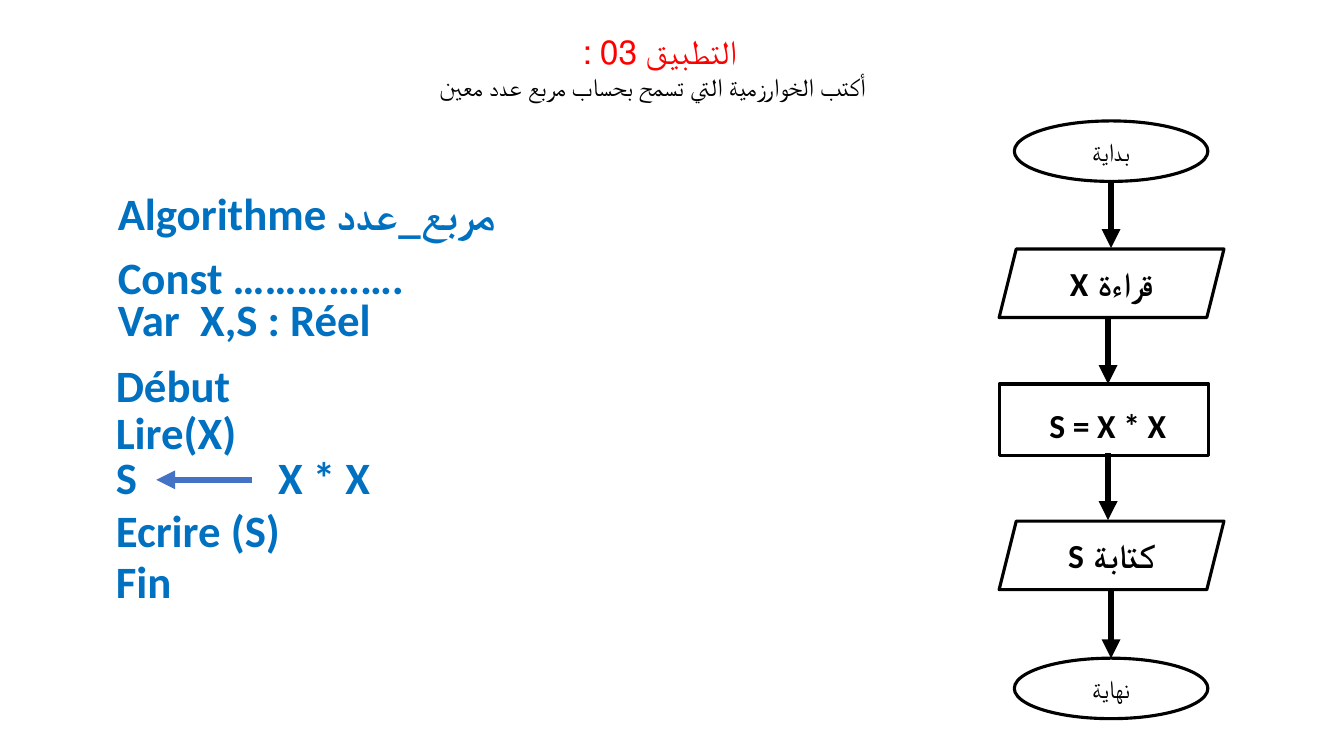
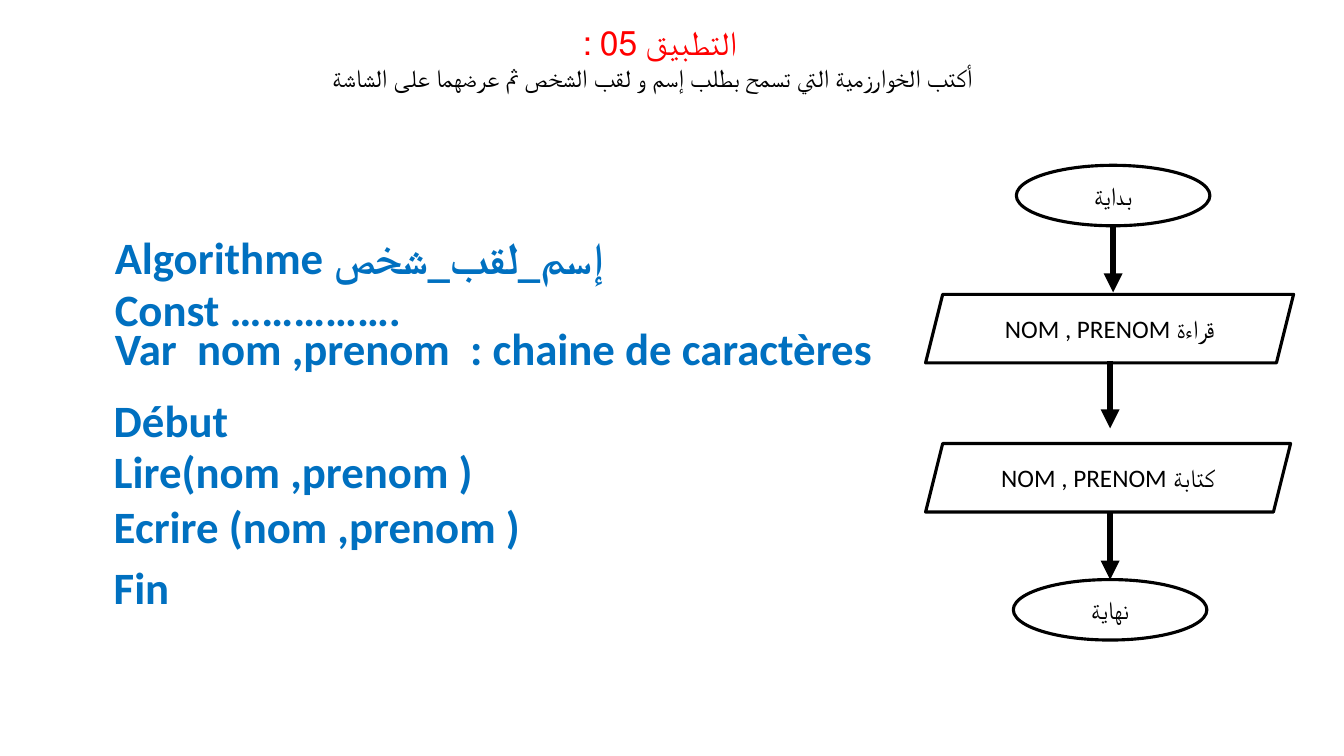
from pptx import Presentation
from pptx.dml.color import RGBColor
from pptx.enum.shapes import MSO_CONNECTOR, MSO_SHAPE
from pptx.enum.text import MSO_ANCHOR, MSO_AUTO_SIZE, PP_ALIGN
from pptx.oxml.ns import qn
from pptx.util import Pt
from lxml.etree import SubElement

PX = 9144  # 100 px to the inch
SLIDE_WIDTH, SLIDE_HEIGHT = 1333, 750
COLORS = {
    "heading": "FF0000",
    "ink": "000000",
    "paper": "FFFFFF",
    "code": "0070C0",
    "assign": "4472C4",
}
OVAL_SIZE = (192, 60)
STEP_HEIGHT = 68
ARROW_LENGTH = 67


def emu(*lengths):
    return [length * PX for length in lengths]


def color(name):
    return RGBColor.from_string(COLORS[name])


def add_run(paragraph, text, size, color_name="ink", font="Calibri", bold=False):
    run = paragraph.add_run()
    run.text = text
    run.font.size = Pt(size)
    run.font.name = font
    run.font.bold = bold
    run.font.color.rgb = color(color_name)


def center(paragraph, right_to_left=True):
    paragraph.alignment = PP_ALIGN.CENTER
    if right_to_left:
        paragraph._p.get_or_add_pPr().set("rtl", "1")


def add_text_box(slide, left, top, width, height):
    """Add an empty wrapping box and return its text frame."""
    frame = slide.shapes.add_textbox(*emu(left, top, width, height)).text_frame
    frame.word_wrap = True
    frame.auto_size = MSO_AUTO_SIZE.SHAPE_TO_FIT_TEXT
    return frame


def add_title(slide, top, heading, task):
    frame = add_text_box(slide, 155, top, 991, 81)
    heading_paragraph = frame.paragraphs[0]
    task_paragraph = frame.add_paragraph()
    center(heading_paragraph)
    center(task_paragraph)
    add_run(heading_paragraph, heading, 24, "heading", "Lato")
    add_run(task_paragraph, task, 18)


def add_code_line(slide, left, top, text, width=523):
    frame = add_text_box(slide, left, top, width, 57)
    add_run(frame.paragraphs[0], text, 32, "code", bold=True)


def add_flow_shape(slide, preset, left, top, width, height):
    shape = slide.shapes.add_shape(preset, *emu(left, top, width, height))
    shape.shadow.inherit = False
    shape.fill.solid()
    shape.fill.fore_color.rgb = color("paper")
    shape.line.color.rgb = color("ink")
    shape.line.width = Pt(2.25)
    shape.text_frame.word_wrap = True
    shape.text_frame.vertical_anchor = MSO_ANCHOR.MIDDLE
    return shape


def add_terminal(slide, left, top, text):
    shape = add_flow_shape(slide, MSO_SHAPE.OVAL, left, top, *OVAL_SIZE)
    paragraph = shape.text_frame.paragraphs[0]
    center(paragraph, right_to_left=False)
    add_run(paragraph, text, 18, font="Lato")


def add_input_output(slide, left, top, width, text, size, bold):
    shape = add_flow_shape(slide, MSO_SHAPE.PARALLELOGRAM, left, top, width, STEP_HEIGHT)
    paragraph = shape.text_frame.paragraphs[0]
    center(paragraph)
    add_run(paragraph, text, size, bold=bold)


def add_arrow(slide, start, end, color_name="ink"):
    connector = slide.shapes.add_connector(MSO_CONNECTOR.STRAIGHT, *emu(*start, *end))
    connector.line.color.rgb = color(color_name)
    connector.line.width = Pt(4.5)
    properties = connector._element.spPr
    SubElement(properties.find(qn("a:ln")), qn("a:tailEnd"), type="triangle")
    SubElement(properties, qn("a:effectLst"))


def add_flow_arrows(slide, starts):
    for x, top in starts:
        add_arrow(slide, (x, top), (x, top + ARROW_LENGTH))


def build_square_slide(slide):
    add_title(slide, 26, "التطبيق 03 : ", " أكتب الخوارزمية التي تسمح بحساب مربع عدد معين")

    add_terminal(slide, 1006, 120, "بداية")
    add_terminal(slide, 1006, 653, "نهاية")
    for top, text in ((247, "قراءة X"), (517, "كتابة S")):
        add_input_output(slide, 991, top, 223, text, 24, True)
    add_flow_shape(slide, MSO_SHAPE.RECTANGLE, 991, 381, 208, 71)
    formula = add_text_box(slide, 1031, 397, 142, 50)
    add_run(formula.paragraphs[0], "S = X * X", 24, bold=True)
    add_flow_arrows(slide, ((1102, 179), (1099, 314), (1099, 449), (1102, 586)))

    add_code_line(slide, 107, 179, "Algorithme مربع_عدد", 631)
    for left, top, text in (
        (107, 243, "Const ……………."),
        (107, 284, "Var  X,S : Réel"),
        (105, 350, "Début"),
        (105, 397, "Lire(X)"),
        (105, 494, "Ecrire (S)"),
        (105, 544, "Fin"),
    ):
        add_code_line(slide, left, top, text)
    add_code_line(slide, 105, 441, "S", 50)
    add_code_line(slide, 266, 441, "X * X", 362)
    add_arrow(slide, (250, 476), (155, 476), "assign")


def build_person_slide(slide):
    add_title(slide, 17, "التطبيق 05 : ",
              " أكتب الخوارزمية التي تسمح بطلب إسم و لقب الشخص ثم عرضهما على الشاشة")

    add_terminal(slide, 1008, 164, "بداية")
    add_terminal(slide, 1005, 575, "نهاية")
    for top, width, text in ((292, 365, "قراءة NOM , PRENOM"), (440, 362, "كتابة NOM , PRENOM")):
        add_input_output(slide, 918, top, width, text, 18, False)
    add_flow_arrows(slide, ((1104, 223), (1101, 358), (1101, 508)))

    add_code_line(slide, 104, 223, "Algorithme إسم_لقب_شخص", 631)
    add_code_line(slide, 104, 313, "Var  nom ,prenom  : chaine de caractères", 814)
    for left, top, text in (
        (104, 275, "Const ……………."),
        (103, 385, "Début"),
        (103, 435, "Lire(nom ,prenom )"),
        (103, 490, "Ecrire (nom ,prenom )"),
        (103, 550, "Fin"),
    ):
        add_code_line(slide, left, top, text)


def main():
    presentation = Presentation()
    presentation.slide_width, presentation.slide_height = emu(SLIDE_WIDTH, SLIDE_HEIGHT)
    blank_layout = presentation.slide_layouts[6]
    for build in (build_square_slide, build_person_slide):
        build(presentation.slides.add_slide(blank_layout))
    presentation.save("out.pptx")


if __name__ == "__main__":
    main()
